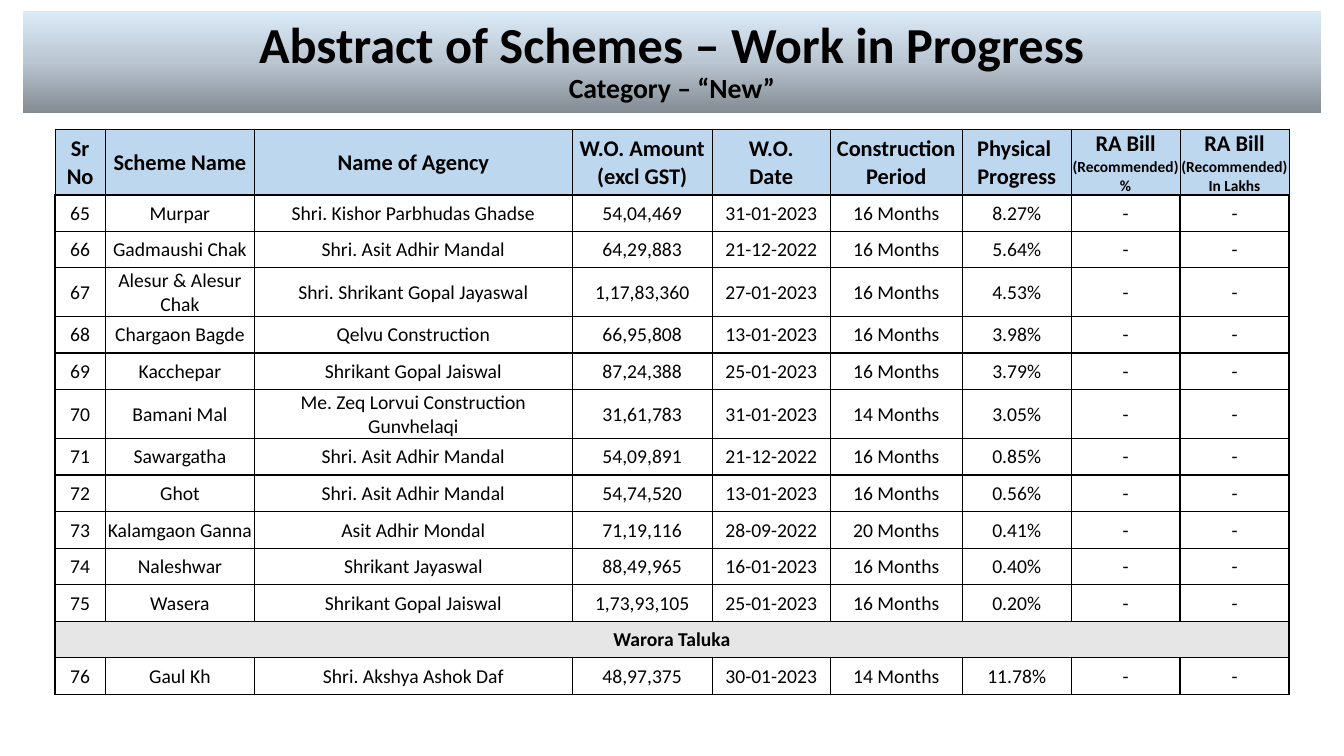
"""Build the work-in-progress slide with its scheme tables."""
from copy import deepcopy
from dataclasses import dataclass

from lxml import etree
from pptx import Presentation
from pptx.dml.color import RGBColor
from pptx.enum.text import MSO_ANCHOR, MSO_AUTO_SIZE, PP_ALIGN
from pptx.oxml.ns import qn
from pptx.util import Inches, Pt

CENTER = PP_ALIGN.CENTER
MIDDLE = MSO_ANCHOR.MIDDLE
NO_AUTOFIT = MSO_AUTO_SIZE.NONE
TITLE_ONLY = 5


@dataclass(frozen=True)
class Theme:
    """Colours, font and type sizes of the slide."""
    font: str = "Calibri"
    ink: str = "000000"
    header_fill: str = "BDD7EE"
    section_fill: str = "E7E6E6"
    banner: tuple = ((0, "838B93"), (0.5, "BAC6D1"), (1, "DCEBF8"))
    title: float = 36
    subtitle: float = 19.8
    header: float = 16
    note: float = 11
    body: float = 14
    header_line: float = 0.5
    body_line: float = 1


THEME = Theme()
SLIDE_WIDTH, SLIDE_HEIGHT = 13.33, 7.5
BANNER_TOP, BANNER_WIDTH, BANNER_HEIGHT = 0.11, 12.88, 1.01
COLUMNS = (0.5, 1.48, 3.15, 1.39, 1.17, 1.31, 1.08, 1.08, 1.08)
HEADER_TOP, HEADER_HEIGHT = 1.28, 0.65
BODY_TOP = HEADER_TOP + HEADER_HEIGHT
BODY_HEIGHT = 4.72
CELL_FORMAT = {
    "margin_left": Inches(0.01), "margin_right": Inches(0.01),
    "margin_top": Inches(0.01), "margin_bottom": 0, "vertical_anchor": MIDDLE,
}

HEADERS = (
    ("Sr No",), ("Scheme Name",), ("Name of Agency",), ("W.O. Amount\v(excl GST)",),
    ("W.O.\vDate",), ("Construction\vPeriod",), ("Physical ", "Progress"),
    ("RA Bill", "(Recommended)", "%"), ("RA Bill", "(Recommended)", "In Lakhs"),
)
SECTION = "Warora Taluka"
NO_BILL = ("-", "-")
SCHEMES = (
    ("65", "Murpar", "Shri. Kishor Parbhudas Ghadse", "54,04,469", "31-01-2023", "16 Months", "8.27%"),
    ("66", "Gadmaushi Chak", "Shri. Asit Adhir Mandal", "64,29,883", "21-12-2022", "16 Months", "5.64%"),
    ("67", "Alesur & Alesur Chak", "Shri. Shrikant Gopal Jayaswal", "1,17,83,360", "27-01-2023", "16 Months", "4.53%"),
    ("68", "Chargaon Bagde", "Qelvu Construction", "66,95,808", "13-01-2023", "16 Months", "3.98%"),
    ("69", "Kacchepar", "Shrikant Gopal Jaiswal", "87,24,388", "25-01-2023", "16 Months", "3.79%"),
    ("70", "Bamani Mal", "Me. Zeq Lorvui Construction Gunvhelaqi", "31,61,783", "31-01-2023", "14 Months", "3.05%"),
    ("71", "Sawargatha", "Shri. Asit Adhir Mandal", "54,09,891", "21-12-2022", "16 Months", "0.85%"),
    ("72", "Ghot", "Shri. Asit Adhir Mandal", "54,74,520", "13-01-2023", "16 Months", "0.56%"),
    ("73", "Kalamgaon Ganna", "Asit Adhir Mondal", "71,19,116", "28-09-2022", "20 Months", "0.41%"),
    ("74", "Naleshwar", "Shrikant Jayaswal", "88,49,965", "16-01-2023", "16 Months", "0.40%"),
    ("75", "Wasera", "Shrikant Gopal Jaiswal", "1,73,93,105", "25-01-2023", "16 Months", "0.20%"),
    (SECTION,),
    ("76", "Gaul Kh", "Shri. Akshya Ashok Daf", "48,97,375", "30-01-2023", "14 Months", "11.78%"),
)


def apply_format(target, values):
    """Set each named attribute on the target."""
    for name, value in values.items():
        setattr(target, name, value)


def write_paragraph(paragraph, text, sizes, bold):
    """Write centred text whose lines take the given sizes."""
    paragraph.text = text
    paragraph.alignment = CENTER
    for run, size in zip(paragraph.runs, sizes):
        apply_format(run.font, {"name": THEME.font, "size": Pt(size), "bold": bold})
        run.font.color.rgb = RGBColor.from_string(THEME.ink)
    for line_break in paragraph._p.findall(qn("a:br")):
        run_format = line_break.getprevious().find(qn("a:rPr"))
        line_break.append(deepcopy(run_format))


def add_banner(slide):
    """Place the title on its gradient banner."""
    title = slide.shapes.title
    apply_format(title, {
        "left": Inches((SLIDE_WIDTH - BANNER_WIDTH) / 2), "top": Inches(BANNER_TOP),
        "width": Inches(BANNER_WIDTH), "height": Inches(BANNER_HEIGHT),
    })
    title.fill.gradient()
    title.fill.gradient_angle = 90
    stop_list = title._element.spPr.find(".//" + qn("a:gsLst"))
    stop_list.append(deepcopy(stop_list[0]))
    for stop, (position, color) in zip(title.fill.gradient_stops, THEME.banner):
        stop.position = position
        stop.color.rgb = RGBColor.from_string(color)
    frame = title.text_frame
    apply_format(frame, {"word_wrap": True, "auto_size": NO_AUTOFIT, "vertical_anchor": MIDDLE})
    paragraph = frame.paragraphs[0]
    write_paragraph(paragraph, "Abstract of Schemes – Work in Progress\vCategory – “New”",
                    (THEME.title, THEME.subtitle), True)
    apply_format(paragraph, {"line_spacing": 0.9, "space_before": Pt(0)})


def add_grid(slide, top, height, row_count):
    """Add a centred table with the shared columns and equal rows."""
    width = sum(COLUMNS)
    table = slide.shapes.add_table(
        row_count, len(COLUMNS), Inches((SLIDE_WIDTH - width) / 2),
        Inches(top), Inches(width), Inches(height)).table
    apply_format(table, {"first_row": False, "horz_banding": False})
    for column, column_width in zip(table.columns, COLUMNS):
        column.width = Inches(column_width)
    for row in table.rows:
        row.height = Inches(height / row_count)
    return table


def style_cell(cell, fill, widths):
    """Set margins, borders (left, right, top, bottom) and fill of a cell."""
    apply_format(cell, CELL_FORMAT)
    properties = cell._tc.get_or_add_tcPr()
    for side, width in zip("LRTB", widths):
        line = etree.SubElement(properties, qn(f"a:ln{side}"), w=str(Pt(width)))
        solid = etree.SubElement(line, qn("a:solidFill"))
        etree.SubElement(solid, qn("a:srgbClr"), val=THEME.ink)
    if fill:
        cell.fill.solid()
        cell.fill.fore_color.rgb = RGBColor.from_string(fill)
    else:
        cell.fill.background()


def write_cell(cell, lines, sizes, bold):
    """Write one paragraph per line into a cell."""
    frame = cell.text_frame
    for index, text in enumerate(lines):
        paragraph = frame.add_paragraph() if index else frame.paragraphs[0]
        write_paragraph(paragraph, text, (sizes[index],) * 2, bold)


def add_header(slide):
    """Add the column headings."""
    table = add_grid(slide, HEADER_TOP, HEADER_HEIGHT, 1)
    widths = (THEME.header_line,) * 3 + (THEME.body_line,)
    for cell, lines in zip(table.iter_cells(), HEADERS):
        style_cell(cell, THEME.header_fill, widths)
        is_bill = len(lines) == 3
        second_size = THEME.note if is_bill else THEME.header
        write_cell(cell, lines, (THEME.header, second_size, second_size), True)


def add_schemes(slide):
    """Add the scheme rows and the merged section row."""
    table = add_grid(slide, BODY_TOP, BODY_HEIGHT, len(SCHEMES))
    for row_index, scheme in enumerate(SCHEMES):
        is_section = len(scheme) == 1
        cells = table.rows[row_index].cells
        for cell in cells:
            style_cell(cell, THEME.section_fill if is_section else None, (THEME.body_line,) * 4)
        if is_section:
            table.cell(row_index, 0).merge(table.cell(row_index, len(COLUMNS) - 1))
        values = scheme if is_section else scheme + NO_BILL
        for cell, text in zip(cells, values):
            write_cell(cell, (text,), (THEME.body,), is_section)


def main():
    """Build and save the presentation."""
    presentation = Presentation()
    apply_format(presentation, {"slide_width": Inches(SLIDE_WIDTH), "slide_height": Inches(SLIDE_HEIGHT)})
    slide = presentation.slides.add_slide(presentation.slide_layouts[TITLE_ONLY])
    add_banner(slide)
    add_header(slide)
    add_schemes(slide)
    presentation.save("out.pptx")


if __name__ == "__main__":
    main()
